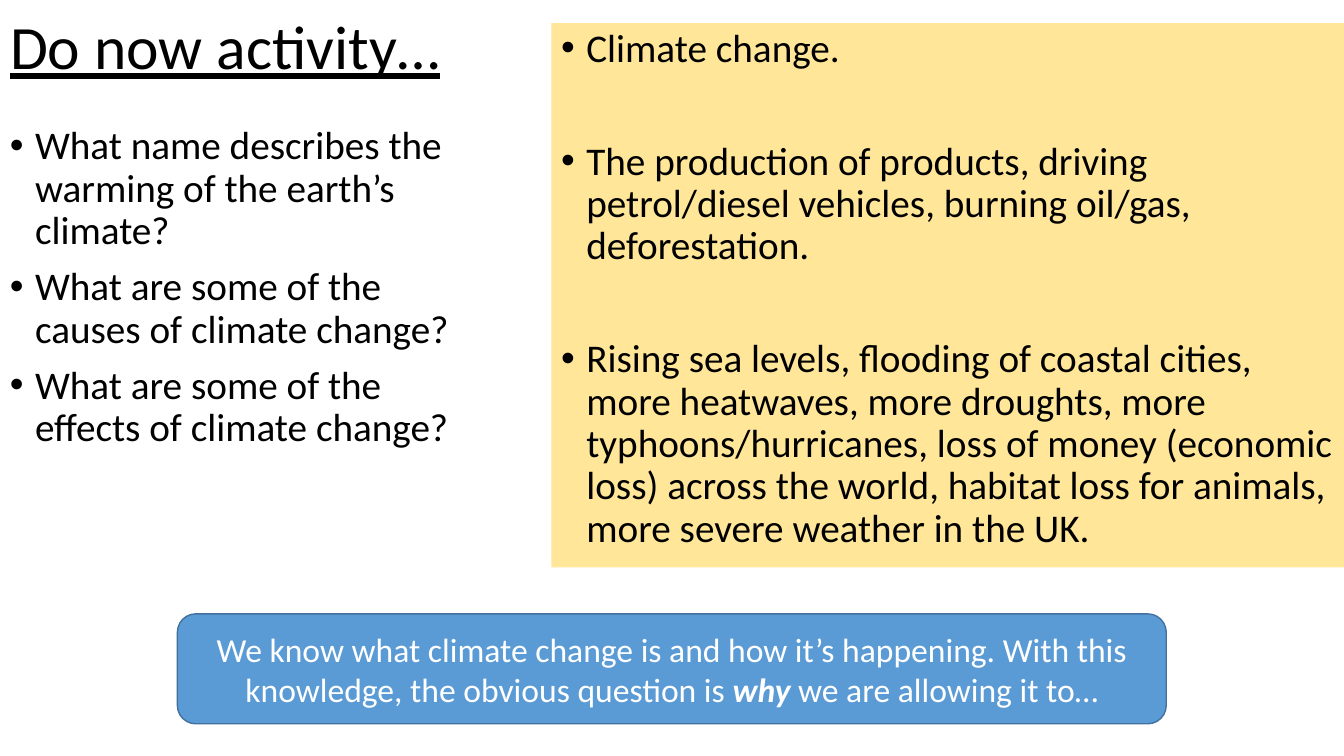
from dataclasses import dataclass
from typing import Optional

from lxml.etree import SubElement
from pptx import Presentation
from pptx.dml.color import RGBColor
from pptx.enum.shapes import MSO_SHAPE
from pptx.enum.text import MSO_ANCHOR, MSO_AUTO_SIZE, PP_ALIGN
from pptx.oxml.ns import qn
from pptx.util import Pt

BLACK = RGBColor(0x00, 0x00, 0x00)
WHITE = RGBColor(0xFF, 0xFF, 0xFF)
CREAM = RGBColor(0xFF, 0xE6, 0x99)
BLUE = RGBColor(0x5B, 0x9B, 0xD5)
DARK_BLUE = RGBColor(0x43, 0x71, 0x9E)
FONT = "Calibri"
INDENT = Pt(18)


@dataclass(frozen=True)
class Box:
    left: float
    top: float
    width: float
    height: float

    def lengths(self) -> tuple:
        return Pt(self.left), Pt(self.top), Pt(self.width), Pt(self.height)


@dataclass(frozen=True)
class BulletPanel:
    box: Box
    gap: float
    points: tuple[str, ...]
    fill: Optional[RGBColor] = None


PANELS = (
    BulletPanel(Box(0, 86.4, 357.8, 342.7), 10, (
        "What name describes the warming of the earth’s climate?",
        "What are some of the causes of climate change?",
        "What are some of the effects of climate change?",
    )),
    BulletPanel(Box(393.8, 16.6, 566.2, 388.8), 50.5, (
        "Climate change.",
        "The production of products, driving petrol/diesel vehicles, "
        "burning oil/gas, deforestation.",
        "Rising sea levels, flooding of coastal cities, more heatwaves, "
        "more droughts, more typhoons/hurricanes, loss of money (economic "
        "loss) across the world, habitat loss for animals, more severe "
        "weather in the UK.",
    ), CREAM),
)


def add_run(paragraph, text: str, size: float, color: RGBColor,
            emphasis: bool = False, underline: bool = False) -> None:
    run = paragraph.add_run()
    run.text = text
    run.font.name = FONT
    run.font.size = Pt(size)
    run.font.color.rgb = color
    run.font.bold = emphasis
    run.font.italic = emphasis
    run.font.underline = underline


def add_bullet(paragraph) -> None:
    properties = paragraph._p.get_or_add_pPr()
    properties.set("marL", str(INDENT))
    properties.set("indent", str(-INDENT))
    SubElement(properties, qn("a:buFont")).set("typeface", "Arial")
    SubElement(properties, qn("a:buChar")).set("char", "•")


def draw_title(slide, box: Box, text: str) -> None:
    title = slide.shapes.title
    title.left, title.top, title.width, title.height = box.lengths()
    frame = title.text_frame
    frame.word_wrap = True
    frame.auto_size = MSO_AUTO_SIZE.NONE
    frame.vertical_anchor = MSO_ANCHOR.MIDDLE
    heading = frame.paragraphs[0]
    heading.alignment = PP_ALIGN.LEFT
    heading.line_spacing = 0.9
    add_run(heading, text, 44, BLACK, underline=True)


def draw_panel(slide, panel: BulletPanel) -> None:
    if panel.fill is None:
        holder = slide.shapes.add_textbox(*panel.box.lengths())
    else:
        holder = slide.shapes.add_shape(MSO_SHAPE.RECTANGLE, *panel.box.lengths())
        holder.shadow.inherit = False
        holder.fill.solid()
        holder.fill.fore_color.rgb = panel.fill
        holder.line.fill.background()
    frame = holder.text_frame
    frame.word_wrap = True
    frame.vertical_anchor = MSO_ANCHOR.TOP
    for index, point in enumerate(panel.points):
        paragraph = frame.add_paragraph() if index else frame.paragraphs[0]
        add_bullet(paragraph)
        paragraph.alignment = PP_ALIGN.LEFT
        paragraph.line_spacing = 0.9
        paragraph.space_before = Pt(panel.gap if index else 0)
        add_run(paragraph, point, 28, BLACK)


def draw_question(slide, box: Box) -> None:
    question = slide.shapes.add_shape(MSO_SHAPE.ROUNDED_RECTANGLE, *box.lengths())
    question.shadow.inherit = False
    question.fill.solid()
    question.fill.fore_color.rgb = BLUE
    question.line.color.rgb = DARK_BLUE
    question.line.width = Pt(1)
    frame = question.text_frame
    frame.word_wrap = True
    frame.vertical_anchor = MSO_ANCHOR.MIDDLE
    sentence = frame.paragraphs[0]
    sentence.alignment = PP_ALIGN.CENTER
    add_run(sentence, "We know what climate change is and how it’s happening. "
            "With this knowledge, the obvious question is ", 24, WHITE)
    add_run(sentence, "why", 24, WHITE, emphasis=True)
    add_run(sentence, " we are allowing it to…", 24, WHITE)


def main() -> None:
    presentation = Presentation()
    presentation.slide_width = Pt(960)
    presentation.slide_height = Pt(540)
    slide = presentation.slides.add_slide(presentation.slide_layouts[5])
    draw_title(slide, Box(0, 0, 379.4, 71.3), "Do now activity…")
    for panel in PANELS:
        draw_panel(slide, panel)
    draw_question(slide, Box(126.7, 438.5, 706.3, 78.5))
    presentation.save("out.pptx")


if __name__ == "__main__":
    main()
